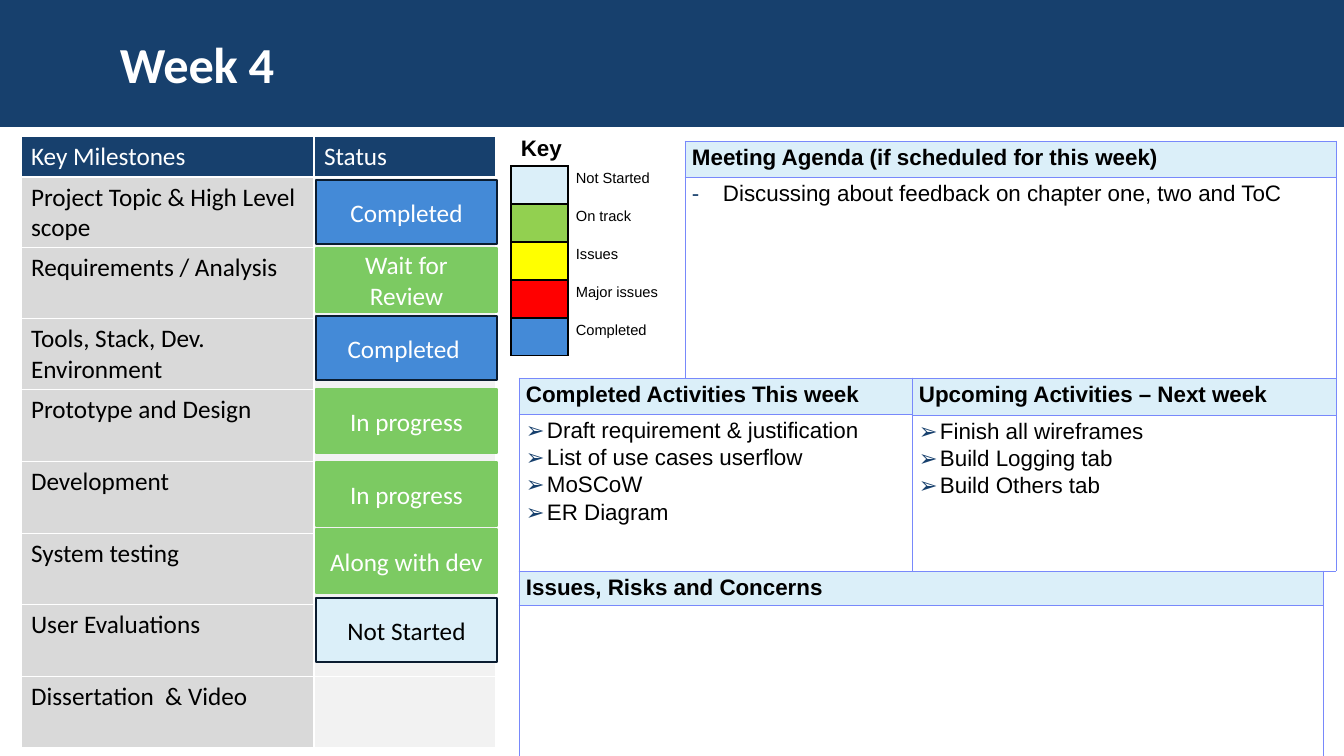
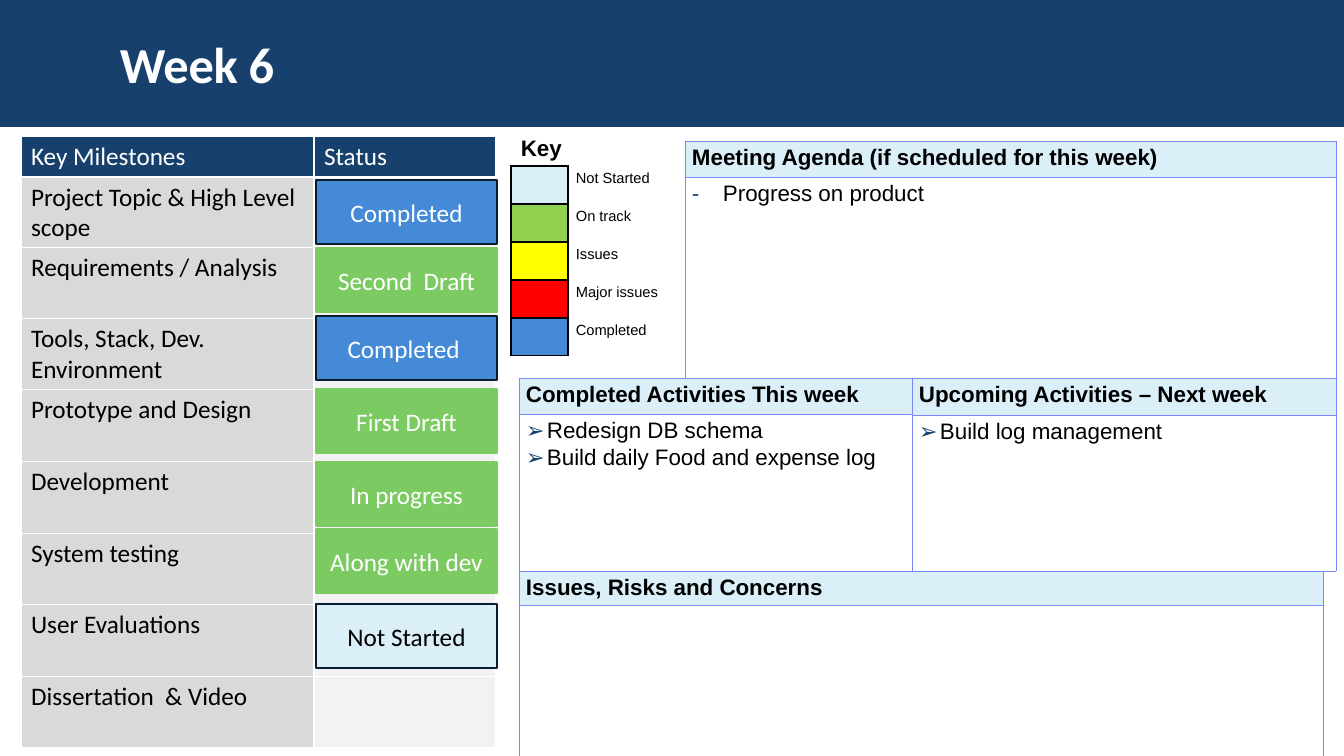
from lxml.etree import SubElement as Sub
from pptx import Presentation
from pptx.dml.color import RGBColor as Rgb
from pptx.enum.shapes import MSO_SHAPE as Shape
from pptx.enum.text import MSO_ANCHOR as Anchor, PP_ALIGN as Align
from pptx.oxml.ns import qn
from pptx.util import Pt

SCALE = 914400 / 100.8
PLAIN = "{2D5ABB26-0587-4C30-8999-92F81FD0307C}"
HUES = {
    "navy": "17406D", "ink": "0A1C30", "white": "FFFFFF", "black": "000000",
    "grey": "D9D9D9", "pale": "F2F2F2", "ice": "DBEFF9", "lime": "92D050",
    "yellow": "FFFF00", "red": "FF0000", "blue": "448AD7", "green": "7CCA62",
    "edge": "7889FB",
}
TASKS = [
    "Project Topic & High Level scope", "Requirements / Analysis",
    "Tools, Stack, Dev. Environment", "Prototype and Design", "Development",
    "System testing", "User Evaluations", "Dissertation  & Video",
]
KEYS = [("ice", "Not Started"), ("lime", "On track"), ("yellow", "Issues"),
        ("red", "Major issues"), ("blue", "Completed")]
KINDS = {"done": ("blue", "ink", "white"), "live": ("green", "green", "white"),
         "idle": ("ice", "ink", "black")}
WEEKS = [
    {
        "title": "Week 4",
        "agenda": ["Discussing about feedback on chapter one, two and ToC"],
        "done": ["Draft requirement & justification", "List of use cases userflow",
                 "MoSCoW", "ER Diagram"],
        "next": ["Finish all wireframes", "Build Logging tab", "Build Others tab"],
        "marks": [(180, "done", "Completed"), (248, "live", "Wait for Review"),
                  (316, "done", "Completed "), (389, "live", "In progress"),
                  (462, "live", "In progress"), (529, "live", "Along with dev"),
                  (598, "idle", "Not Started")],
    },
    {
        "title": "Week 6",
        "agenda": ["Progress on product"],
        "done": ["Redesign DB schema", "Build daily Food and expense log"],
        "next": ["Build log management"],
        "marks": [(180, "done", "Completed"), (248, "live", "Second  Draft"),
                  (316, "done", "Completed "), (389, "live", "First Draft"),
                  (462, "live", "In progress"), (529, "live", "Along with dev"),
                  (604, "idle", "Not Started")],
    },
]


def px(*sizes):
    return [round(size * SCALE) for size in sizes]


def hue(name):
    return Rgb.from_string(HUES[name])


class Deck:
    """Holds the style and the current slide of a status report."""

    def __init__(self):
        self.show = Presentation()
        self.show.slide_width, self.show.slide_height = px(1344, 756)

    def page(self, title):
        self.slide = self.show.slides.add_slide(self.show.slide_layouts[6])
        self.rect(0, 0, 1344, 127, "navy")
        run = self.label(110, 21, 1105, 84, title, 36, "Calibri", "white")
        run.font._element.set("spc", "-20")

    def run(self, para, text, size, font, color, bold=False):
        run = para.add_run()
        run.text = text
        run.font.size, run.font.name, run.font.bold = Pt(size), font, bold
        run.font.color.rgb = hue(color)
        return run

    def label(self, x, y, w, h, text, size, font, color):
        frame = self.slide.shapes.add_textbox(*px(x, y, w, h)).text_frame
        frame.word_wrap = True
        frame.vertical_anchor = Anchor.MIDDLE
        return self.run(frame.paragraphs[0], text, size, font, color, True)

    def rect(self, x, y, w, h, fill, line=None):
        box = self.slide.shapes.add_shape(Shape.RECTANGLE, *px(x, y, w, h))
        box.shadow.inherit = False
        box.fill.solid()
        box.fill.fore_color.rgb = hue(fill)
        if line:
            box.line.color.rgb, box.line.width = hue(line), Pt(1)
        else:
            box.line.fill.background()
        return box

    def badge(self, y, kind, text):
        fill, line, color = KINDS[kind]
        frame = self.rect(316, y, 181, 64, fill, line).text_frame
        frame.word_wrap = True
        frame.vertical_anchor = Anchor.MIDDLE
        para = frame.paragraphs[0]
        para.alignment = Align.CENTER
        self.run(para, text, 18, "Calibri", color)

    def grid(self, x, y, cols, rows):
        size = px(x, y, sum(cols), sum(rows))
        table = self.slide.shapes.add_table(len(rows), len(cols), *size).table
        table.first_row = table.horz_banding = False
        table._tbl.tblPr[0].text = PLAIN
        for part, sizes in ((table.columns, cols), (table.rows, rows)):
            for item, length in zip(part, px(*sizes)):
                if part is table.columns:
                    item.width = length
                else:
                    item.height = length
        return table

    def cell(self, cell, fill, edge, width=1, sides="LRTB", pad=None):
        if pad:
            across, down = px(*pad)
            cell.margin_left = cell.margin_right = across
            cell.margin_top = cell.margin_bottom = down
        props = cell._tc.get_or_add_tcPr()
        for side in sides:
            line = Sub(props, qn("a:ln" + side), w=str(round(width * 12700)))
            Sub(Sub(line, qn("a:solidFill")), qn("a:srgbClr"), val=HUES[edge])
        if fill:
            cell.fill.solid()
            cell.fill.fore_color.rgb = hue(fill)
        else:
            cell.fill.background()
        return cell.text_frame.paragraphs[0]

    def bullet(self, para, mark, indent):
        props = para._p.get_or_add_pPr()
        inset, = px(indent)
        props.set("marL", str(inset))
        props.set("indent", str(-inset))
        para.space_after = Pt(1.8)
        Sub(Sub(props, qn("a:buClr")), qn("a:srgbClr"), val=HUES["navy"])
        Sub(props, qn("a:buFont"), typeface="Arial")
        Sub(props, qn("a:buChar"), char=mark)

    def panel(self, x, y, w, rows, head, items=(), mark="➢", indent=21):
        table = self.grid(x, y, [w], rows)
        para = self.cell(table.cell(0, 0), "ice", "edge", 0.71, pad=(7, 4))
        self.run(para, head, 16, "Arial", "black", True)
        body = table.cell(1, 0)
        para = self.cell(body, None, "edge", 0.71, pad=(7, 4))
        for pos, item in enumerate(items):
            if pos:
                para = body.text_frame.add_paragraph()
            self.bullet(para, mark, indent)
            self.run(para, item, 16, "Arial", "black")

    def plan(self, marks):
        rows = [41, 70, 71, 71, 72, 72, 71, 72, 71]
        table = self.grid(21, 136, [293, 182], rows)
        for col, text in enumerate(["Key Milestones", "Status"]):
            para = self.cell(table.cell(0, col), "navy", "white")
            self.run(para, text, 18, "Calibri", "white")
        for row, task in enumerate(TASKS, 1):
            para = self.cell(table.cell(row, 0), "grey", "white")
            self.run(para, task, 18, "Calibri", "black")
            self.cell(table.cell(row, 1), "pale", "white")
        for mark in marks:
            self.badge(*mark)

    def legend(self):
        self.label(511, 129, 151, 37, "Key", 16, "Arial", "black")
        table = self.grid(511, 166, [57, 141], [38] * len(KEYS))
        for row, (fill, text) in enumerate(KEYS):
            self.cell(table.cell(row, 0), fill, "black", pad=(0, 0))
            para = self.cell(table.cell(row, 1), None, "black", sides="L", pad=(8, 4))
            self.run(para, text, 10.5, "Arial", "black")


def main():
    deck = Deck()
    for week in WEEKS:
        deck.page(week["title"])
        deck.plan(week["marks"])
        deck.legend()
        deck.panel(685, 141, 651, [36, 201], "Meeting Agenda (if scheduled for this week)",
                   week["agenda"], "-", 31)
        deck.panel(519, 378, 393, [36, 157], "Completed Activities This week", week["done"])
        deck.panel(912, 378, 424, [37, 156], "Upcoming Activities – Next week", week["next"])
        deck.panel(519, 571, 804, [34, 152], "Issues, Risks and Concerns")
    deck.show.save("out.pptx")


if __name__ == "__main__":
    main()
